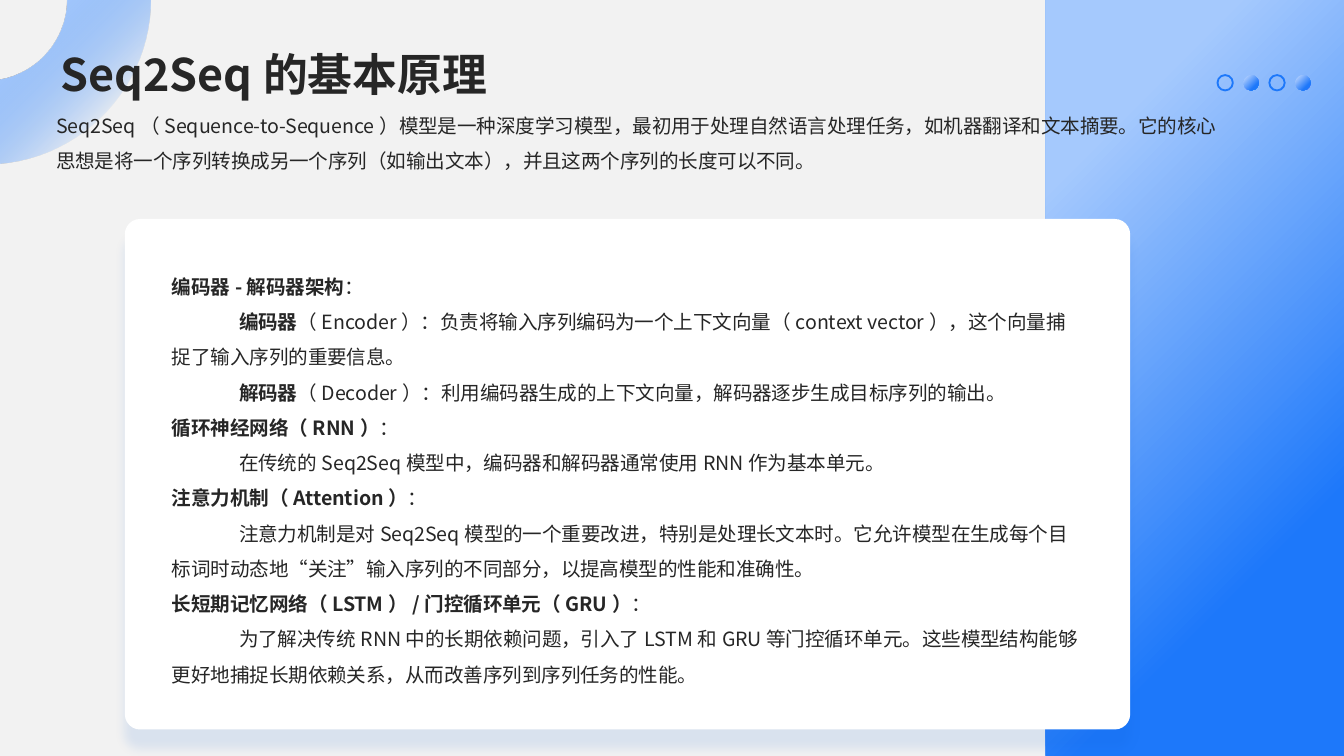
from math import acos, cos, pi, sin

from lxml import etree
from pptx import Presentation
from pptx.dml.color import RGBColor
from pptx.enum.shapes import MSO_SHAPE
from pptx.enum.text import MSO_AUTO_SIZE
from pptx.oxml import parse_xml
from pptx.oxml.ns import qn
from pptx.util import Cm, Pt

RECTANGLE = MSO_SHAPE.RECTANGLE
ROUNDED = MSO_SHAPE.ROUNDED_RECTANGLE
OVAL = MSO_SHAPE.OVAL
GROW = MSO_AUTO_SIZE.SHAPE_TO_FIT_TEXT

FONT = "Noto Sans CJK SC"
INK, LIGHT_BLUE, BLUE = "262626", "A5C9FD", "1D78FA"
DRAWING_NS = "http://schemas.openxmlformats.org/drawingml/2006/main"

rgb = RGBColor.from_string


def fill_blue_gradient(shape):
    """Fill with the diagonal light-to-strong blue blend, without line or shadow."""
    shape.shadow.inherit = False
    shape.line.fill.background()
    shape.fill.gradient()
    shape.fill.gradient_angle = 315
    for stop, color, position in zip(
        shape.fill.gradient_stops, (LIGHT_BLUE, BLUE), (0.18, 0.75)
    ):
        stop.color.rgb = rgb(color)
        stop.position = position
    return shape._element.spPr.find(qn("a:gradFill"))


def add_text(left, top, width, height, paragraphs, size, spacing=1.0):
    """Each paragraph is a first-line indent and a list of (text, bold) runs."""
    box = slide.shapes.add_textbox(Cm(left), Cm(top), Cm(width), Cm(height))
    frame = box.text_frame
    frame.word_wrap = True
    frame.auto_size = GROW
    for number, (indent, runs) in enumerate(paragraphs):
        paragraph = frame.add_paragraph() if number else frame.paragraphs[0]
        paragraph.line_spacing = spacing
        paragraph.font.size = Pt(size)
        paragraph.font.name = FONT
        paragraph.font.color.rgb = rgb(INK)
        properties = paragraph._p.pPr
        properties.set("marL", "0")
        properties.set("indent", str(Cm(indent)))
        east_asian = etree.SubElement(properties.find(qn("a:defRPr")), qn("a:ea"))
        east_asian.set("typeface", FONT)
        for text, bold in runs:
            run = paragraph.add_run()
            run.text = text
            run.font.bold = bold


prs = Presentation()
prs.slide_width, prs.slide_height = Cm(25.4), Cm(14.29)
slide = prs.slides.add_slide(prs.slide_layouts[6])
slide.background.fill.solid()
slide.background.fill.fore_color.rgb = rgb("F2F2F2")

# Blue side panel, blended outwards from its top left corner
panel = slide.shapes.add_shape(RECTANGLE, Cm(19.76), 0, Cm(5.64), prs.slide_height)
blend = fill_blue_gradient(panel)
blend.replace(
    blend.find(qn("a:lin")),
    parse_xml(
        f'<a:path xmlns:a="{DRAWING_NS}" path="circle">'
        '<a:fillToRect r="100000" b="100000"/></a:path>'
    ),
)

# Fading ring in the corner, cut off at the slide's left and top edges
RING_X, OUTER, INNER, STEPS = -0.26, 3.1, 1.53, 24
outer_arc, inner_arc = [
    [
        (Cm(RING_X + radius * cos(angle)), Cm(radius * sin(angle)))
        for angle in (acos(-RING_X / radius) * i / STEPS for i in range(STEPS + 1))
    ]
    for radius in (OUTER, INNER)
]
outline = outer_arc + inner_arc[::-1]
builder = slide.shapes.build_freeform(*outline[0])
builder.add_line_segments(outline[1:], close=True)
ring_blend = fill_blue_gradient(builder.convert_to_shape())
strong_blue = ring_blend.findall(".//" + qn("a:srgbClr"))[-1]
etree.SubElement(strong_blue, qn("a:alpha")).set("val", "0")

add_text(0.89, 0.76, 9.45, 1.27, [(0, [("Seq2Seq的基本原理", True)])], 24)

# White card with a soft blue shadow
card = slide.shapes.add_shape(ROUNDED, Cm(2.36), Cm(4.14), Cm(19), Cm(9.65))
card.adjustments[0] = 0.03
card.fill.solid()
card.fill.fore_color.rgb = rgb("FFFFFF")
card.line.fill.background()
card.shadow.inherit = False
card._element.spPr.find(qn("a:effectLst")).append(
    parse_xml(
        f'<a:outerShdw xmlns:a="{DRAWING_NS}" blurRad="{Pt(5)}" dist="{Pt(10)}" '
        'dir="5400000" algn="t" rotWithShape="0"><a:srgbClr val="0557CD">'
        '<a:alpha val="10000"/></a:srgbClr></a:outerShdw>'
    )
)

intro = (
    "Seq2Seq（Sequence-to-Sequence）模型是一种深度学习模型，最初用于处理自然语言处理任务，"
    "如机器翻译和文本摘要。它的核心思想是将一个序列转换成另一个序列（如输出文本），"
    "并且这两个序列的长度可以不同。"
)
add_text(0.81, 1.8, 22.68, 1.52, [(0, [(intro, False)])], 10.5, 1.5)

# Row of dots, open and filled in turn
for i in range(4):
    dot = slide.shapes.add_shape(
        OVAL, Cm(23.01 + 0.49 * i), Cm(1.42), Cm(0.29), Cm(0.29)
    )
    if i % 2:
        fill_blue_gradient(dot)
    else:
        dot.shadow.inherit = False
        dot.fill.background()
        dot.line.color.rgb = rgb(BLUE)
        dot.line.width = Pt(1)

# Each topic: heading, then details as (bold lead, text)
topics = [
    ("编码器-解码器架构", [
        ("编码器", "（Encoder）：负责将输入序列编码为一个上下文向量（context vector），"
                   "这个向量捕捉了输入序列的重要信息。"),
        ("解码器", "（Decoder）：利用编码器生成的上下文向量，解码器逐步生成目标序列的输出。"),
    ]),
    ("循环神经网络（RNN）", [
        ("", "在传统的Seq2Seq模型中，编码器和解码器通常使用RNN作为基本单元。"),
    ]),
    ("注意力机制（Attention）", [
        ("", "注意力机制是对Seq2Seq模型的一个重要改进，特别是处理长文本时。它允许模型在生成每个"
             "目标词时动态地“关注”输入序列的不同部分，以提高模型的性能和准确性。"),
    ]),
    ("长短期记忆网络（LSTM）/门控循环单元（GRU）", [
        ("", "为了解决传统RNN中的长期依赖问题，引入了LSTM和GRU等门控循环单元。这些模型结构"
             "能够更好地捕捉长期依赖关系，从而改善序列到序列任务的性能。"),
    ]),
]
explanation = []
for heading, details in topics:
    explanation.append((0, [(heading, True), ("：", False)]))
    for lead, detail in details:
        lead_runs = [(lead, True)] if lead else []
        explanation.append((1.27, lead_runs + [(detail, False)]))
add_text(3, 4.85, 17.75, 8.26, explanation, 10.5, 1.5)

prs.save("out.pptx")
